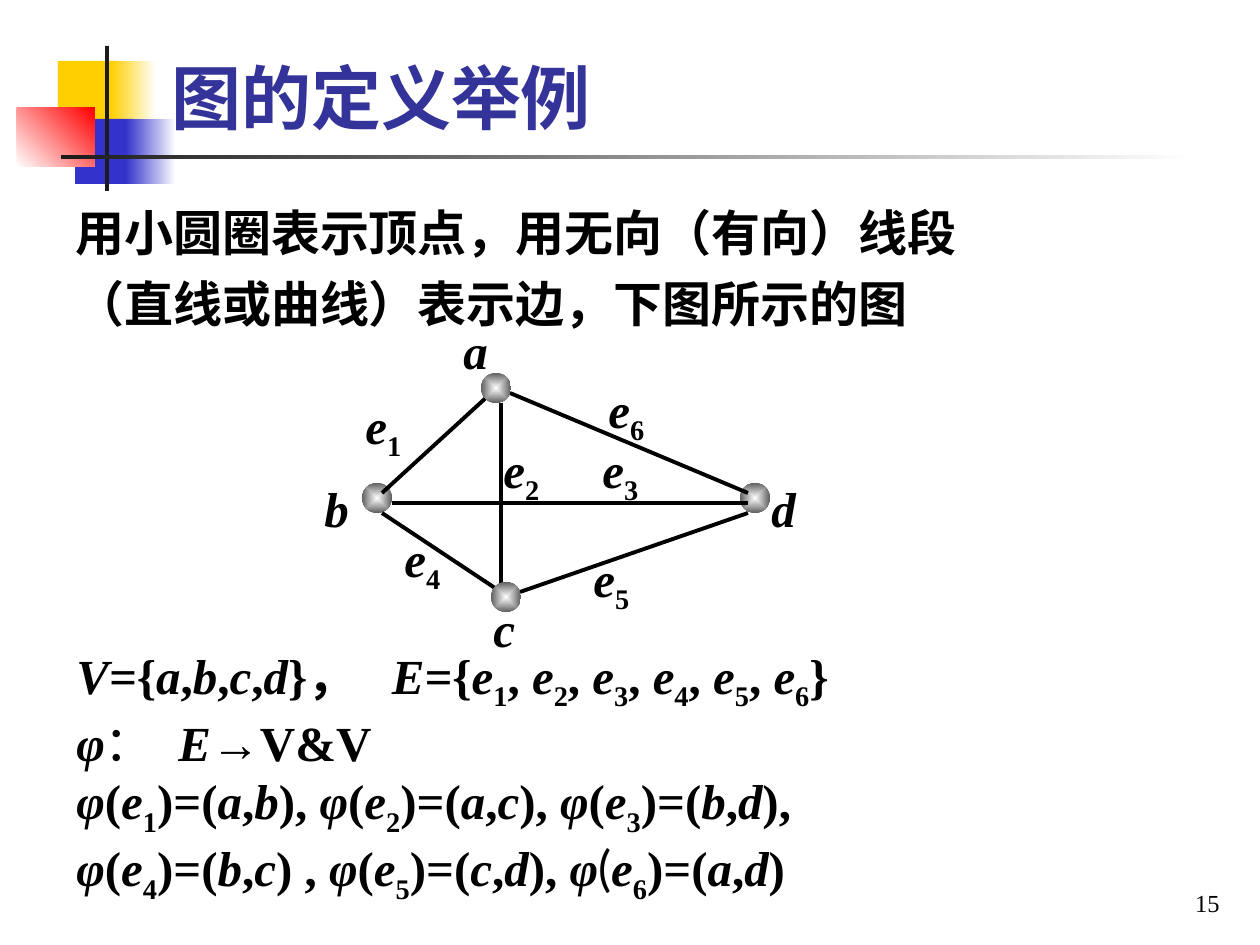
import itertools

import pptx
import pptx.dml.color
import pptx.enum.shapes
import pptx.enum.text
import pptx.oxml
import pptx.oxml.ns
import pptx.util

SCALE = 914400 // 126
THEME = dict(
    ink="000000", title="333399", dark="1C1C1C", white="FFFFFF",
    gold="FFCF01", blue="3333CC", red="FF0000", gray="5F5F5F",
    serif="Times New Roman", sans="Lato",
    head=40, text=28, small=14, gap=14, line=2.25,
)

# box, first colour, last colour (None for a solid fill), angle
DECOR = [
    ((58, 61, 60, 65), "gold", None, 0),
    ((111, 61, 45, 65), "gold", "white", 0),
    ((75, 119, 58, 65), "blue", None, 0),
    ((126, 119, 50, 65), "blue", "white", 0),
    ((17, 108, 78, 59), "white", "red", 45),
    ((105, 46, 4, 145), "dark", None, 0),
    ((61, 155, 1134, 4), "dark", "white", 0),
]
TITLE = "图的定义举例"
INTRO = ["用小圆圈表示顶点，用无向（有向）线段", "（直线或曲线）表示边，下图所示的图"]
NODE = 30
BACK = [(362, 483), (740, 483)]
FRONT = [(481, 373), (491, 582)]
EDGES = [
    (382, 493, 488, 396), (382, 513, 501, 592), (510, 393, 748, 493),
    (520, 592, 748, 513), (501, 403, 501, 592), (392, 503, 748, 503),
]
LABELS = [
    ("e1", 353, 389), ("e2", 491, 433), ("e3", 590, 433),
    ("e4", 392, 522), ("e5", 581, 542), ("e6", 596, 373),
    ("a", 451, 314), ("b", 312, 472), ("c", 481, 592), ("d", 759, 472),
]
# text with |plain| parts, letters set in italics
VARS = "abcdeφ"
MATH = [
    ("V={a,b,c,d}， E={e1, e2, e3, e4, e5, e6}", "abcdeVE="),
    ("φ|：|E→V&V", "φE"),
    ("φ(e1)=(a,b), φ(e2)=(a,c), φ(e3)=(b,d),", VARS),
    ("φ(e4)=(b,c) , φ(e5)=(c,d), φ|(|e6)=(a,d)", VARS),
]
PAGE = "15"


def px(*vals):
    return [pptx.util.Emu(v * SCALE) for v in vals]


def color(name):
    return pptx.dml.color.RGBColor.from_string(THEME[name])


def blend(shape, first, last, angle=0):
    fill = shape.fill
    fill.gradient()
    fill.gradient_angle = angle
    for stop, name in zip(fill.gradient_stops, (first, last)):
        stop.color.rgb = color(name)


def draw(slide, kind, box):
    shape = slide.shapes.add_shape(kind, *px(*box))
    shape.shadow.inherit = False
    shape.line.fill.background()
    return shape


def write(slide, box, wrap=True, low=False):
    frame = slide.shapes.add_textbox(*px(*box)).text_frame
    frame.word_wrap = wrap
    if low:
        frame.vertical_anchor = pptx.enum.text.MSO_ANCHOR.BOTTOM
    return frame


def style(run, size="text", face="serif", ink="ink", bold=True):
    font = run.font
    font.size = pptx.util.Pt(THEME[size])
    font.name = THEME[face]
    font.bold = bold
    font.color.rgb = color(ink)
    return font


def fill_math(para, text, slant):
    """Set digits as subscripts, slant letters in italics, |parts| plain."""
    def kind(char):
        if char.isdigit():
            return "sub"
        if char in "，：":
            return "wide"
        return "slant" if char in slant else "up"

    for i, part in enumerate(text.split("|")):
        plain = i % 2 == 1
        for sort, chars in itertools.groupby(part, kind):
            run = para.add_run()
            run.text = "".join(chars)
            font = style(run, face="sans" if plain else "serif", bold=not plain)
            font.italic = sort == "slant"
            props = run._r.get_or_add_rPr()
            if sort == "sub":
                props.set("baseline", "-25000")
            if sort == "wide":
                props.set("spc", str(THEME["gap"] * 100))


def add_node(slide, x, y):
    dot = draw(slide, pptx.enum.shapes.MSO_SHAPE.OVAL, (x, y, NODE, NODE))
    blend(dot, "white", "gray")
    grad = dot._element.spPr.find(pptx.oxml.ns.qn("a:gradFill"))
    grad.remove(grad.find(pptx.oxml.ns.qn("a:lin")))
    grad.append(pptx.oxml.parse_xml(
        f'<a:path {pptx.oxml.ns.nsdecls("a")} path="shape">'
        '<a:fillToRect l="50000" t="50000" r="50000" b="50000"/></a:path>'))


def add_edge(slide, ends):
    kind = pptx.enum.shapes.MSO_CONNECTOR.STRAIGHT
    line = slide.shapes.add_connector(kind, *px(*ends))
    line.line.color.rgb = color("ink")
    line.line.width = pptx.util.Pt(THEME["line"])
    line._element.spPr.append(pptx.oxml.parse_xml(
        f'<a:effectLst {pptx.oxml.ns.nsdecls("a")}/>'))


def add_title(slide):
    frame = write(slide, (159, 10, 1074, 135), low=True)
    frame.text = TITLE
    run = frame.paragraphs[0].runs[0]
    style(run, "head", "sans", "title")
    run._r.get_or_add_rPr().insert(1, pptx.oxml.parse_xml(
        f'<a:effectLst {pptx.oxml.ns.nsdecls("a")}>'
        '<a:outerShdw dist="25400" dir="2700000">'
        '<a:srgbClr val="000000"/></a:outerShdw></a:effectLst>'))


def add_intro(slide):
    frame = write(slide, (63, 190, 1144, 123))
    frame.text = "\n".join(INTRO)
    for i, para in enumerate(frame.paragraphs):
        para.line_spacing = 1.1
        para.space_before = pptx.util.Pt(4 if i else 0)
        style(para.runs[0])


def add_math(slide):
    frame = write(slide, (64, 639, 1160, 249))
    for i, (text, slant) in enumerate(MATH):
        para = frame.add_paragraph() if i else frame.paragraphs[0]
        fill_math(para, text, slant)


def add_page(slide):
    frame = write(slide, (970, 861, 262, 63), low=True)
    frame.text = PAGE
    para = frame.paragraphs[0]
    para.alignment = pptx.enum.text.PP_ALIGN.RIGHT
    style(para.runs[0], "small", bold=False)


def main():
    deck = pptx.Presentation()
    deck.slide_width, deck.slide_height = px(1260, 945)
    slide = deck.slides.add_slide(deck.slide_layouts[6])
    for box, first, last, angle in DECOR:
        shape = draw(slide, pptx.enum.shapes.MSO_SHAPE.RECTANGLE, box)
        if last:
            blend(shape, first, last, angle)
        else:
            shape.fill.solid()
            shape.fill.fore_color.rgb = color(first)
    add_title(slide)
    add_intro(slide)
    for spot in BACK:
        add_node(slide, *spot)
    for ends in EDGES:
        add_edge(slide, ends)
    for spot in FRONT:
        add_node(slide, *spot)
    for text, x, y in LABELS:
        wide = 64 if len(text) > 1 else 50
        frame = write(slide, (x, y, wide, 72), wrap=False)
        fill_math(frame.paragraphs[0], text, VARS)
    add_math(slide)
    add_page(slide)
    deck.save("out.pptx")


if __name__ == "__main__":
    main()
